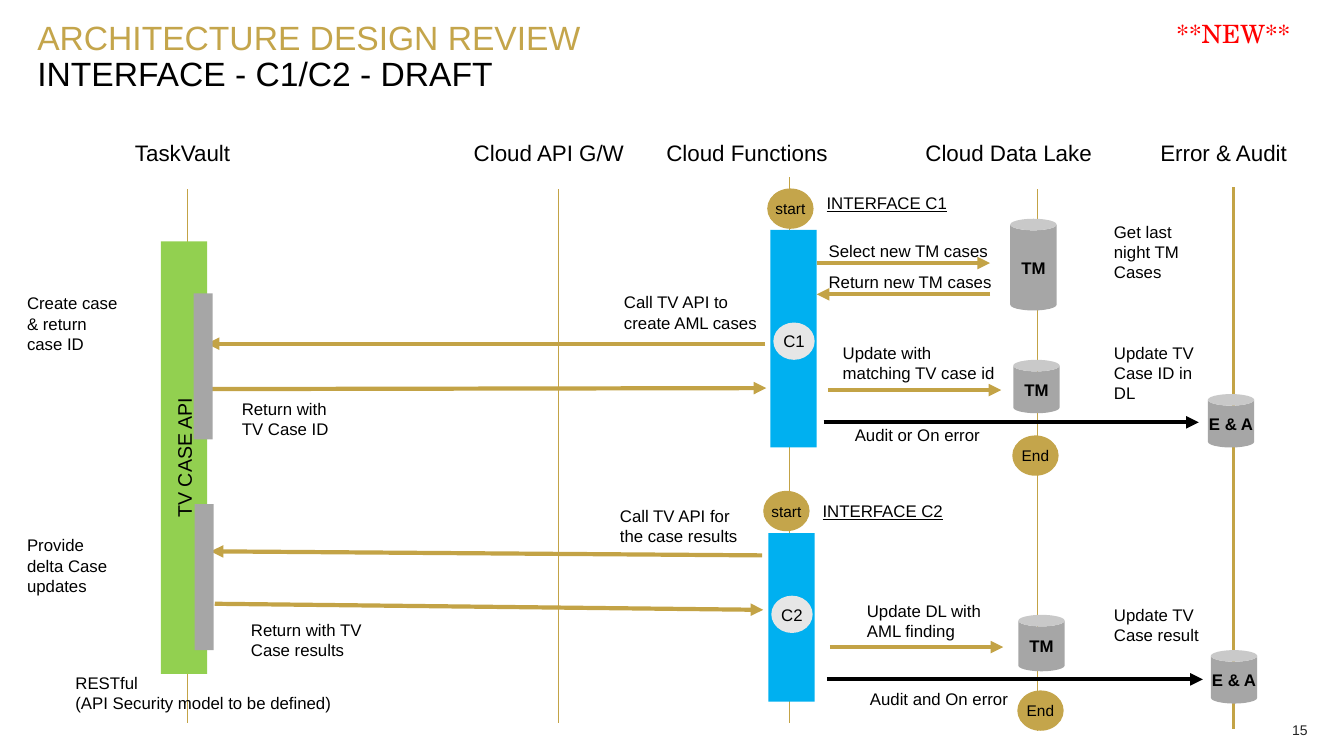
from lxml import etree
from pptx import Presentation
from pptx.dml.color import RGBColor
from pptx.enum.shapes import MSO_CONNECTOR, MSO_SHAPE
from pptx.enum.text import MSO_ANCHOR, PP_ALIGN
from pptx.oxml.ns import qn
from pptx.util import Emu, Pt

RECTANGLE, ELLIPSE, CAN = MSO_SHAPE.RECTANGLE, MSO_SHAPE.OVAL, MSO_SHAPE.CAN
STRAIGHT = MSO_CONNECTOR.STRAIGHT
TOP, MIDDLE = MSO_ANCHOR.TOP, MSO_ANCHOR.MIDDLE
LEFT, CENTER, RIGHT = PP_ALIGN.LEFT, PP_ALIGN.CENTER, PP_ALIGN.RIGHT

EMU_PER_PX = 9144  # 100 px to the inch
WIDTH, HEIGHT = 1333, 750
GOLD, LINE_GOLD, BLACK, RED = "C4A54B", "C3A346", "000000", "FF0000"
GREEN, BLUE, GREY, PALE, DARK = "92D050", "00B0F0", "A6A6A6", "E6E6E6", "242424"
NODE = 46  # width of bars, stores and terminals

# name, name left, line x, line top, line bottom, line width
LANES = [
    ("TaskVault", 124, 186, 55, 584, 1.25),
    ("Cloud API G/W", 460, 554, 55, 584, 1.25),
    ("Cloud Functions", 651, 783, 43, 584, 1.25),
    ("Cloud Data Lake", 908, 1029, 55, 592, 1.25),
    ("Error & Audit", 1141, 1223, 53, 590, 2),
]

# Messages: x1, y1, x2, y2, colour. Stores: name, x, y, height. Labels: text, x, y, width.
INTERFACE_C1 = {
    "name": "C1",
    "title": (810, 0),
    "start": (761, 1),
    "end": (1004, 246),
    "bar": (764, 42, 216),
    "badge": (767, 134),
    "api_call": (192, 105),
    "messages": [
        (759, 155, 205, 155, LINE_GOLD),
        (209, 200, 760, 199, LINE_GOLD),
        (810, 75, 982, 75, LINE_GOLD),
        (982, 106, 810, 106, LINE_GOLD),
        (821, 201, 993, 201, LINE_GOLD),
        (817, 233, 1189, 233, BLACK),
    ],
    "stores": [("TM", 1002, 31, 91), ("TM", 1005, 171, 53), ("E & A", 1198, 205, 53)],
    "labels": [
        ("Create case & return case ID", 17, 100, 114),
        ("Call TV API to create AML cases", 609, 99, 172),
        ("Return with TV Case ID", 230, 205, 125),
        ("Select new TM cases", 812, 48, 199),
        ("Return new TM cases", 812, 79, 199),
        ("Update with matching TV case id", 826, 149, 179),
        ("Audit or On error", 838, 230, 167),
        ("Get last night TM Cases", 1095, 29, 114),
        ("Update TV Case ID in DL", 1095, 149, 114),
    ],
}
INTERFACE_C2 = {
    "name": "C2",
    "title": (806, 5),
    "start": (757, 0),
    "end": (1009, 198),
    "bar": (762, 42, 167),
    "badge": (765, 104),
    "api_call": (193, 13),
    "messages": [
        (756, 64, 209, 60, LINE_GOLD),
        (213, 112, 757, 118, LINE_GOLD),
        (823, 155, 995, 155, LINE_GOLD),
        (820, 187, 1193, 187, BLACK),
    ],
    "stores": [("TM", 1010, 123, 56), ("E & A", 1201, 158, 53)],
    "labels": [
        ("Provide delta Case updates", 17, 39, 114),
        ("Call TV API for the case results", 605, 10, 148),
        ("Return with TV Case results", 239, 123, 139),
        ("Update DL with AML finding", 850, 104, 134),
        ("Audit and On error", 853, 191, 167),
        ("Update TV Case result", 1095, 108, 114),
    ],
}


def px(length):
    return Emu(length * EMU_PER_PX)


def color(value):
    return RGBColor.from_string(value)


def write(frame, lines, size, tone=BLACK, font="Arial", align=LEFT, anchor=TOP,
          inset=(10, 5), spacing=None, bold=False, underline=False):
    frame.vertical_anchor = anchor
    frame.margin_left = frame.margin_right = px(inset[0])
    frame.margin_top = frame.margin_bottom = px(inset[1])
    for index, line in enumerate(lines):
        paragraph = frame.add_paragraph() if index else frame.paragraphs[0]
        paragraph.alignment = align
        if spacing:
            paragraph.line_spacing = spacing
        run = paragraph.add_run()
        run.text = line
        run.font.name, run.font.size = font, Pt(size)
        run.font.bold, run.font.underline = bold, underline
        run.font.color.rgb = color(tone)


def add_text(slide, box, lines, size=12, **style):
    shape = slide.shapes.add_textbox(*map(px, box))
    shape.text_frame.word_wrap = True
    write(shape.text_frame, lines, size, **style)


def add_node(slide, kind, box, fill, text="", size=12, bold=False):
    shape = slide.shapes.add_shape(kind, *map(px, box))
    shape.shadow.inherit = False
    shape.fill.solid()
    shape.fill.fore_color.rgb = color(fill)
    shape.line.fill.background()
    if text:
        shape.text_frame.word_wrap = False
        write(shape.text_frame, [text], size, align=CENTER, anchor=MIDDLE, inset=(0, 0), bold=bold)
    return shape


def add_line(slide, ends, tone, width, arrow=False):
    connector = slide.shapes.add_connector(STRAIGHT, *map(px, ends))
    connector.line.color.rgb = color(tone)
    connector.line.width = Pt(width)
    if arrow:
        etree.SubElement(connector.line._get_or_add_ln(), qn("a:tailEnd"), type="triangle")
    etree.SubElement(connector._element.spPr, qn("a:effectLst"))


def heading(slide, left, top):
    add_text(slide, (left, top, 1260, 31), ["ARCHITECTURE DESIGN REVIEW"], 24,
             tone=GOLD, inset=(0, 0), spacing=0.8)
    add_text(slide, (left, top + 35, 1260, 37), ["INTERFACE - C1/C2 - DRAFT"], 24,
             inset=(0, 0), spacing=0.85)
    add_text(slide, (left + 1120, top - 11, 133, 40), ["**NEW**"], 18,
             tone=RED, font="TeX Gyre Schola")


def lanes(slide, top):
    for name, left, x, start, end, width in LANES:
        add_text(slide, (left, top, 185, 37), [name], 16)
        add_line(slide, (x, top + start, x, top + end), LINE_GOLD, width)


def case_api(slide, left, top, length):
    """Draw the upright API bar and the note at its foot."""
    turned_box = (left + (NODE - length) // 2, top + (length - NODE) // 2, length, NODE)
    bar = add_node(slide, RECTANGLE, turned_box, GREEN, "TV CASE API", 14)
    bar.rotation = 270
    add_text(slide, (left - 95, top + length - 7, 286, 50),
             ["RESTful", "(API Security model to be defined)"])


def interface_flow(slide, top, flow):
    def place(x, y, width, height):
        return x, top + y, width, height

    for x1, y1, x2, y2, tone in flow["messages"]:
        add_line(slide, (x1, top + y1, x2, top + y2), tone, 3, arrow=True)
    x, y, length = flow["bar"]
    add_node(slide, RECTANGLE, place(x, y, NODE, length), BLUE)
    add_node(slide, RECTANGLE, place(*flow["api_call"], 19, 145), GREY)
    add_node(slide, ELLIPSE, place(*flow["badge"], 41, 37), PALE, flow["name"])
    for key, word in (("start", "start"), ("end", "End")):
        add_node(slide, ELLIPSE, place(*flow[key], NODE, 40), GOLD, word, 11)
    for name, x, y, height in flow["stores"]:
        add_node(slide, CAN, place(x, y, NODE, height), GREY, name, bold=True)
    for text, x, y, width in flow["labels"]:
        add_text(slide, place(x, y, width, 30), [text])
    add_text(slide, place(*flow["title"], 155, 30), ["INTERFACE " + flow["name"]], underline=True)


def page_number(slide, left, top):
    add_text(slide, (left, top, 156, 24), ["15"], 10, tone=DARK,
             align=RIGHT, anchor=MIDDLE, inset=(0, 0))


def main():
    presentation = Presentation()
    presentation.slide_width, presentation.slide_height = px(WIDTH), px(HEIGHT)
    slide = presentation.slides.add_slide(presentation.slide_layouts[6])
    heading(slide, 37, 24)
    lanes(slide, 133)
    case_api(slide, 160, 240, 429)
    interface_flow(slide, 186, INTERFACE_C1)
    interface_flow(slide, 487, INTERFACE_C2)
    page_number(slide, 1141, 712)
    presentation.save("out.pptx")


if __name__ == "__main__":
    main()
